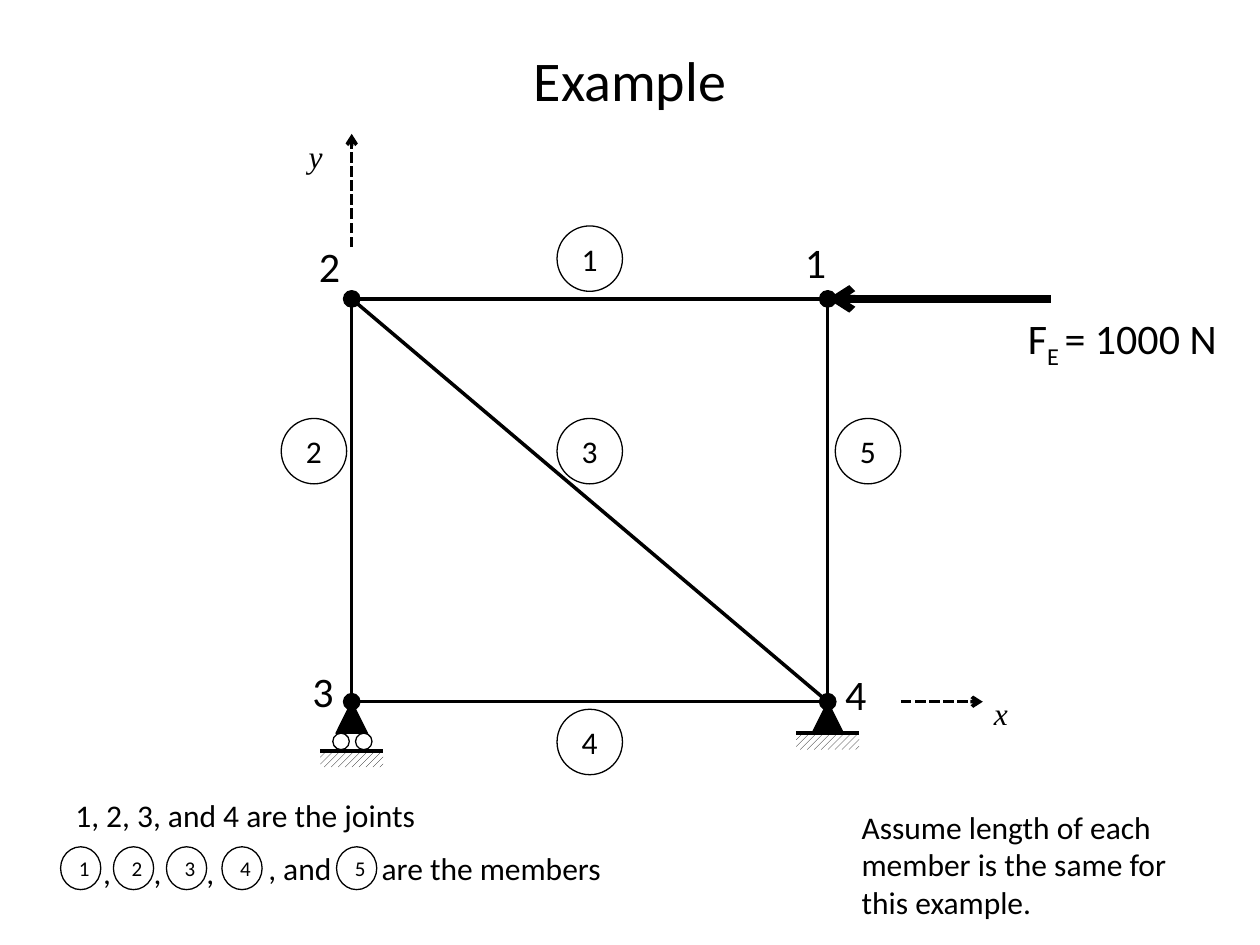
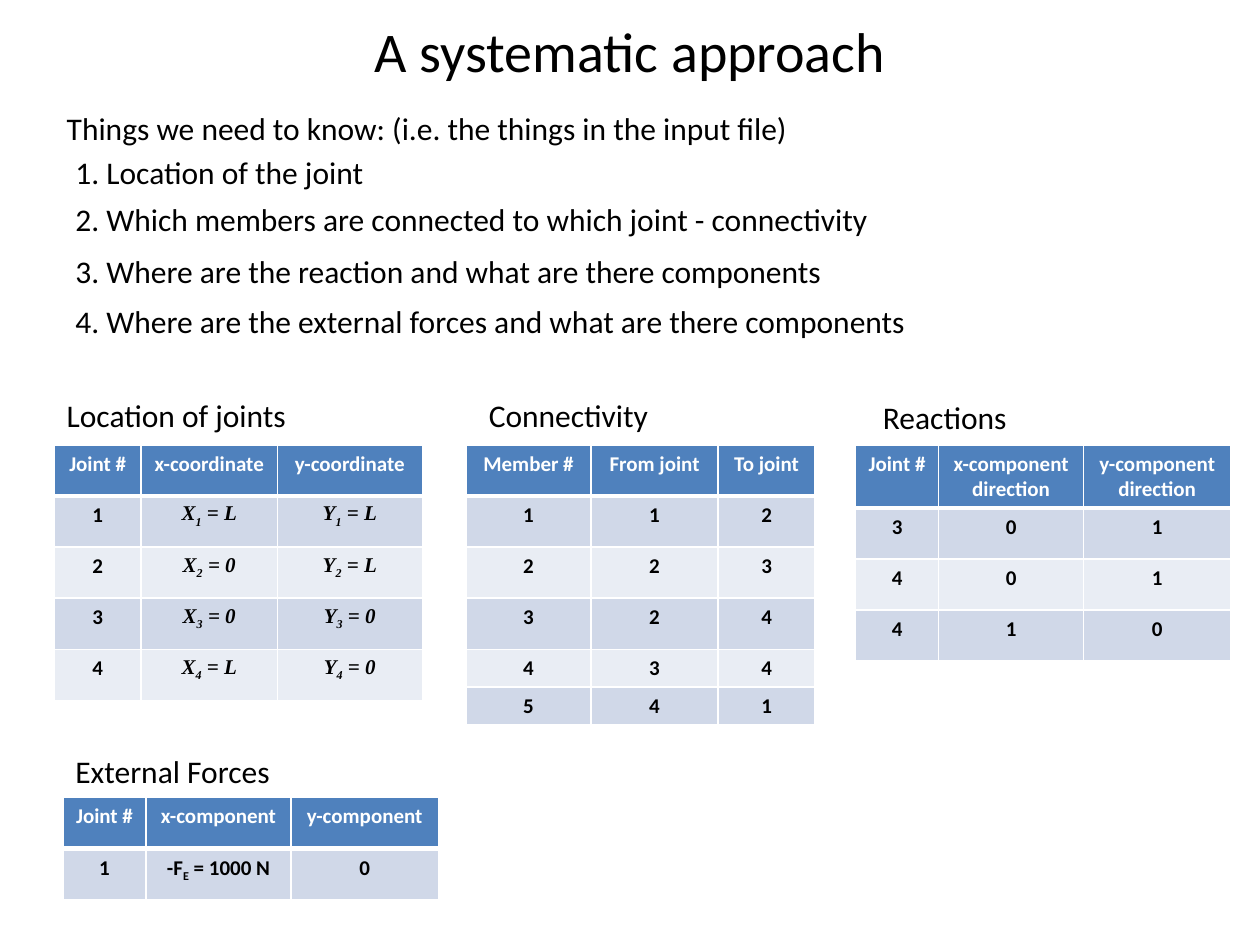
from lxml.etree import SubElement
from pptx import Presentation
from pptx.dml.color import RGBColor
from pptx.enum.dml import MSO_LINE, MSO_PATTERN
from pptx.enum.shapes import MSO_CONNECTOR, MSO_SHAPE
from pptx.enum.text import MSO_ANCHOR, MSO_AUTO_SIZE, PP_ALIGN
from pptx.oxml.ns import qn
from pptx.util import Pt

HUES = {"ink": "000000", "paper": "FFFFFF", "head": "4F81BD",
        "odd": "D0D8E8", "even": "E9EDF4"}
SANS, SERIF = "Calibri", "Times New Roman"
BADGE, DOT, LIFT = 37.4, 9.4, 87


def hue(name):
    return RGBColor.from_string(HUES[name])


def pts(*sizes):
    return [Pt(size) for size in sizes]


def write(frame, words, size, align=PP_ALIGN.LEFT, tint="ink", face=SANS,
          bold=False, slant=False):
    para = frame.paragraphs[0]
    para.alignment = align
    for spot, part in enumerate(words.split("|")):
        if not part:
            continue
        run = para.add_run()
        run.text = part
        font = run.font
        font.size, font.name, font.bold, font.italic = Pt(size), face, bold, slant
        font.color.rgb = hue(tint)
        if spot % 2:
            run._r.get_or_add_rPr().set("baseline", "-25000")


def label(slide, box, words, size=18, wrap=False, **style):
    frame = slide.shapes.add_textbox(*pts(*box)).text_frame
    frame.word_wrap = wrap
    frame.auto_size = MSO_AUTO_SIZE.SHAPE_TO_FIT_TEXT
    write(frame, words, size, **style)


def shape(slide, kind, box, fill=None):
    item = slide.shapes.add_shape(kind, *pts(*box))
    item.shadow.inherit = False
    item.line.color.rgb = hue("ink")
    item.line.width = Pt(0.75)
    if fill:
        item.fill.solid()
        item.fill.fore_color.rgb = hue(fill)
    else:
        item.fill.background()
    return item


def badge(slide, box, words, size=18):
    frame = shape(slide, MSO_SHAPE.OVAL, box).text_frame
    frame.vertical_anchor = MSO_ANCHOR.MIDDLE
    write(frame, words, size, PP_ALIGN.CENTER)


def line(slide, start, end, width=2, dash=False, arrow=False):
    link = slide.shapes.add_connector(MSO_CONNECTOR.STRAIGHT, *pts(*start, *end))
    link.line.color.rgb = hue("ink")
    link.line.width = Pt(width)
    if dash:
        link.line.dash_style = MSO_LINE.SQUARE_DOT
    props = link._element.spPr
    if arrow:
        SubElement(props.get_or_add_ln(), qn("a:tailEnd"), type="arrow")
    SubElement(props, qn("a:effectLst"))


def title(deck, words, box):
    slide = deck.slides.add_slide(deck.slide_layouts[5])
    head = slide.shapes.title
    head.left, head.top, head.width, head.height = pts(*box)
    frame = head.text_frame
    frame.auto_size = MSO_AUTO_SIZE.NONE
    frame.vertical_anchor = MSO_ANCHOR.MIDDLE
    write(frame, words, 32, PP_ALIGN.CENTER)
    return slide


def base(slide, x, y, drop):
    ground = y + drop
    hatch = shape(slide, MSO_SHAPE.RECTANGLE, (x - 18, ground, 36, DOT))
    hatch.line.fill.background()
    hatch.fill.patterned()
    hatch.fill.pattern = MSO_PATTERN.WIDE_UPWARD_DIAGONAL
    hatch.fill.fore_color.rgb = hue("ink")
    hatch.fill.back_color.rgb = hue("paper")
    line(slide, (x - 18, ground), (x + 18, ground))
    shape(slide, MSO_SHAPE.ISOSCELES_TRIANGLE, (x - 9, y, 18, 18), "ink")


def truss(slide, box):
    left, top, wide, high = box
    right, low, mid = left + wide, top + high, left + wide / 2
    joints = {"1": (right, top), "2": (left, top),
              "3": (left, low), "4": (right, low)}
    base(slide, left, low, 28)
    base(slide, right, low, 18)
    for shift in (-10.8, 2.2):
        shape(slide, MSO_SHAPE.OVAL, (left + shift, low + 18, DOT, DOT))
    for start, end in ("34", "21", "23", "14", "24"):
        line(slide, joints[start], joints[end])
    line(slide, (right + 127.4, top), (right, top), 4.5, arrow=True)
    label(slide, (right + 107.3, top + 4.3, 125.3, 36), "F|E |= 1000 N", 24)

    shifts = {"1": (-20.2, -38.9), "2": (-25.9, -36.7),
              "3": (-29.5, -24.5), "4": (2.9, -22.3)}
    for name, (x, y) in joints.items():
        shape(slide, MSO_SHAPE.OVAL, (x - DOT / 2, y - DOT / 2, DOT, DOT), "ink")
        dx, dy = shifts[name]
        label(slide, (x + dx, y + dy, 26.6, 36), name, 24)

    spots = [(mid, top - 23), (left - 21.6, top + LIFT), (mid, top + LIFT),
             (mid, low + 23), (right + 23, top + LIFT)]
    for num, (x, y) in enumerate(spots, 1):
        badge(slide, (x - BADGE / 2, y - BADGE / 2, BADGE, BADGE), str(num))

    line(slide, (left, top - 29.5), (left, top - 94.3), dash=True, arrow=True)
    line(slide, (right + 41.8, low), (right + 88.6, low), dash=True, arrow=True)
    for name, x, y in (("x", right + 87.8, low - 7.9),
                       ("y", left - 31.7, top - 95.8)):
        label(slide, (x, y, 27.4, 28.8), name, face=SERIF, slant=True)


def legend(slide, box):
    left, top, wide, high = box
    label(slide, (left + 1.4, top, 211.7, 28.8), "1, 2, 3, and 4 are the joints")
    row = top + 32.5
    for num, shift in enumerate((0, 30.2, 60.5, 92.2, 157.7), 1):
        badge(slide, (left + shift, row, 23, 24.5), str(num), 12)
    for words, shift, width, lift in ((",", 17.3, 18.7, 0), (",", 46.1, 18.7, 0),
                                      (",", 76.3, 18.7, 0), (", and", 111.6, 51.1, 2),
                                      ("are the members", 176.4, 141.8, 2)):
        label(slide, (left + shift, row - lift, width, 28.8), words)


def things(slide, box):
    left, top, wide, high = box
    rows = [("Things we need to know: (i.e. the things in the input file)", 0, 0, 431.3),
            ("1. Location of the joint", 5, 25.2, 181.4),
            ("2. Which members are connected to which joint - connectivity", 5, 51.8, 473),
            ("3. Where are the reaction and what are there components", 5, 81.4, 447.1),
            ("4. Where are the external forces and what are there components", 5, 110.2, 496.1)]
    for words, dx, dy, width in rows:
        label(slide, (left + dx, top + dy, width, 28.8), words)


def edge(cell, top, low):
    props = cell._tc.get_or_add_tcPr()
    for side, width in (("L", 1), ("R", 1), ("T", top), ("B", low)):
        rule = SubElement(props, qn("a:ln" + side), w=str(Pt(width)))
        SubElement(SubElement(rule, qn("a:solidFill")), qn("a:srgbClr"),
                   val=HUES["paper"])


def table(slide, box, name, shift, cols, rows, highs):
    left, top = box
    dx, dy, width = shift
    label(slide, (left + dx, top + dy, width, 28.8), name)
    grid = slide.shapes.add_table(len(rows), len(cols),
                                  *pts(left, top, sum(cols), sum(highs))).table
    for col, width in zip(grid.columns, cols):
        col.width = Pt(width)
    for r, (row, high) in enumerate(zip(rows, highs)):
        grid.rows[r].height = Pt(high)
        fill = "head" if r == 0 else "odd" if r % 2 else "even"
        for c, words in enumerate(row):
            cell = grid.cell(r, c)
            edge(cell, 3 if r == 1 else 1, 3 if r == 0 else 1)
            cell.fill.solid()
            cell.fill.fore_color.rgb = hue(fill)
            math = words[0] in "XY"
            write(cell.text_frame, words, 12, PP_ALIGN.CENTER,
                  "ink" if r else "paper", SERIF if math else SANS, True, math)


def example(deck):
    slide = title(deck, "Example", (36, 0, 648, 90))
    truss(slide, (201, 170.8, 272, 230.2))
    legend(slide, (34.6, 451.4, 320, 60))
    label(slide, (485.3, 457.9, 208.8, 72.7),
          "Assume length of each member is the same for this example.", wrap=True)


def method(deck):
    slide = title(deck, "A systematic approach", (36, 1.4, 648, 54))
    things(slide, (31, 59, 500, 139))
    tall, line_up = 29.2, 254.2
    parts = [f"{n}" for n in range(1, 5)]
    places = zip(parts, ("L", "0", "0", "L"), ("L", "L", "0", "0"))
    table(slide, (31, line_up), "Location of joints", (0, -31.7, 141.8),
          (49.7, 77.8, 82.8),
          [("Joint #", "x-coordinate", "y-coordinate")]
          + [(n, f"X|{n}| = {x}", f"Y|{n}| = {y}") for n, x, y in places],
          [tall] * 5)
    table(slide, (266.4, line_up), "Connectivity", (5.8, -31.7, 106.6),
          (71.3, 72.7, 55.4),
          [("Member #", "From joint", "To joint"), "112", "223", "324", "434", "541"],
          [tall] * 4 + [14.4] * 2)
    sides = (47.5, 82.8, 84.2)
    table(slide, (488.9, line_up), "Reactions", (8.6, -30.2, 86.4), sides,
          [("Joint #", "x-component direction", "y-component direction"),
           "301", "401", "410"], [tall] * 4)
    table(slide, (36, 455.8), "External Forces", (0, -29.5, 127.4), sides,
          [("Joint #", "x-component", "y-component"),
           ("1", "-F|E| = 1000 N", "0")], [tall] * 2)


def main():
    deck = Presentation()
    deck.slide_width, deck.slide_height = pts(720, 540)
    example(deck)
    method(deck)
    deck.save("out.pptx")


if __name__ == "__main__":
    main()
